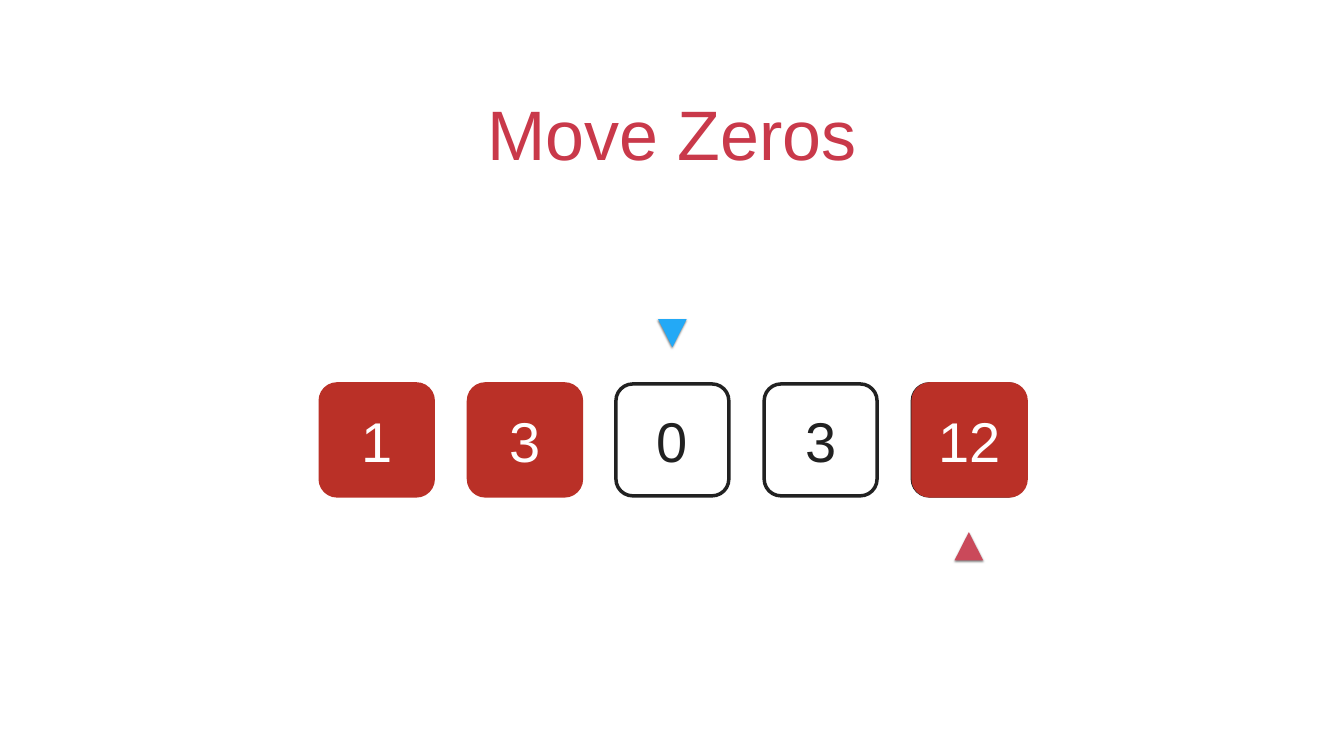
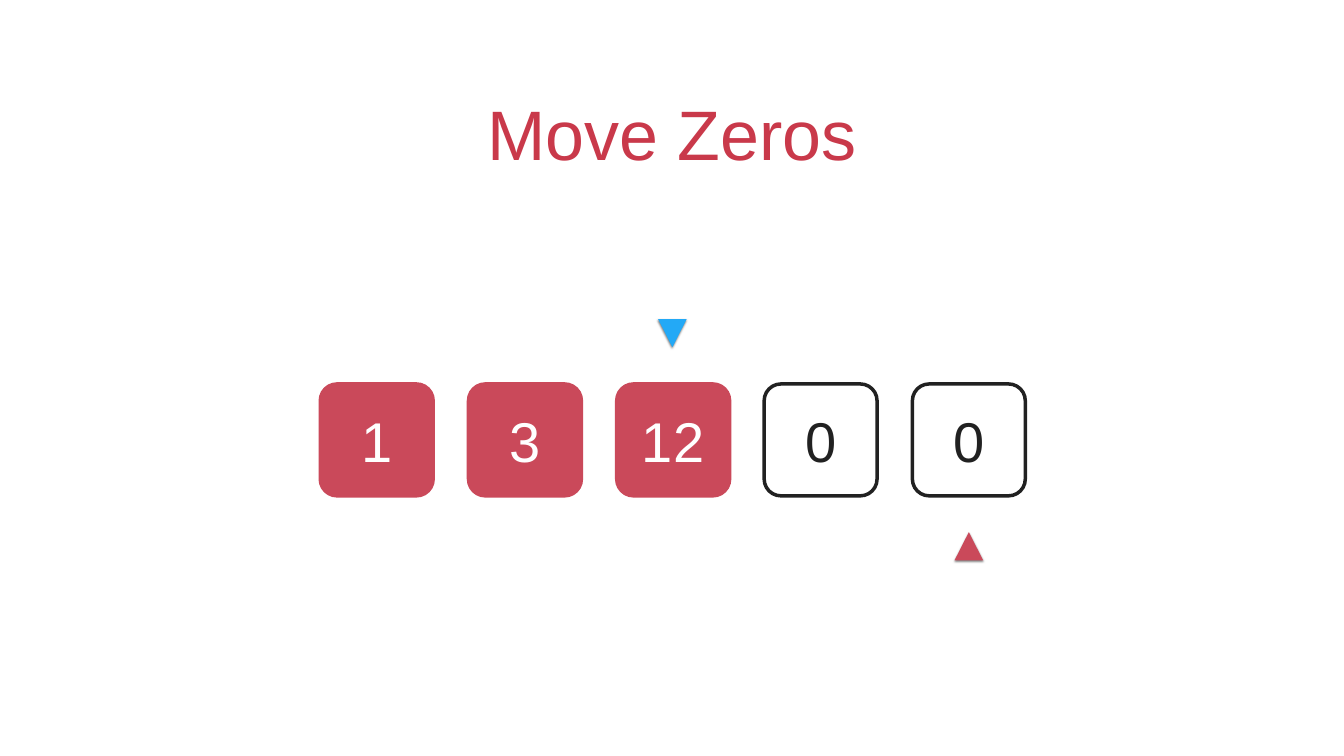
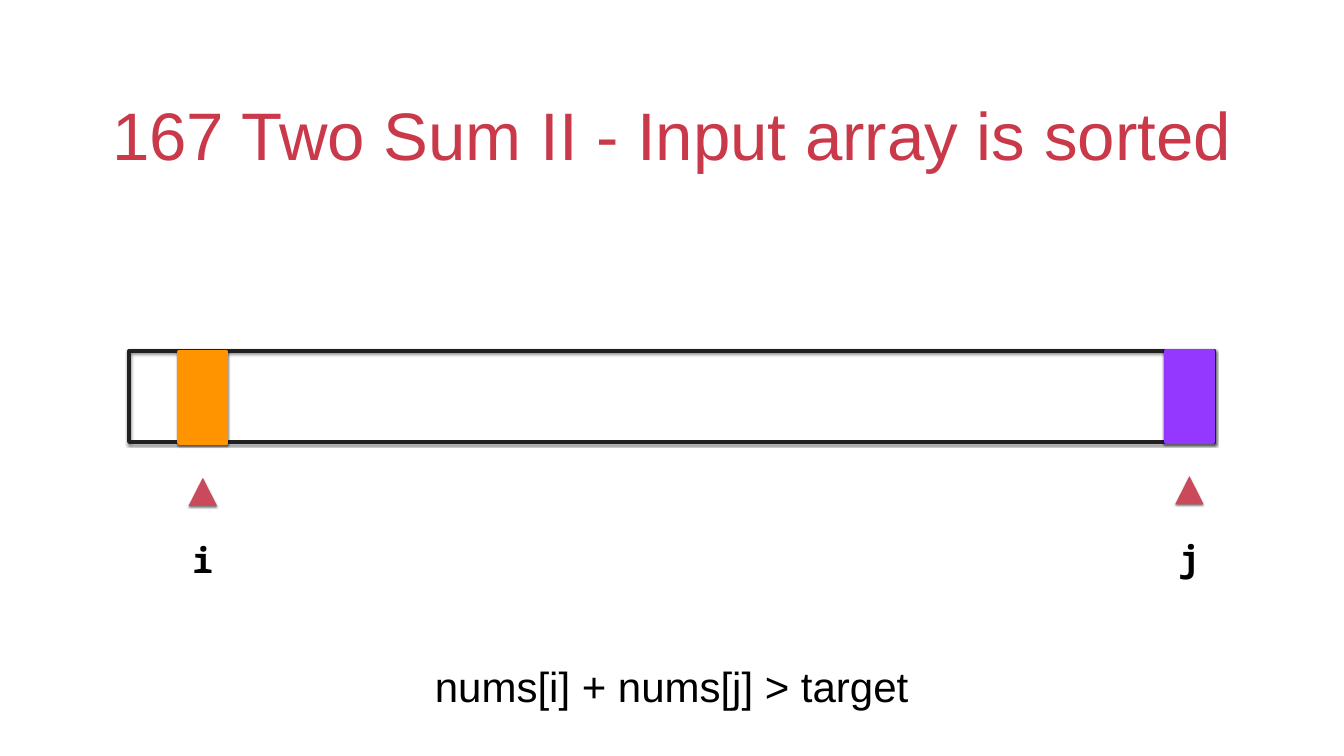
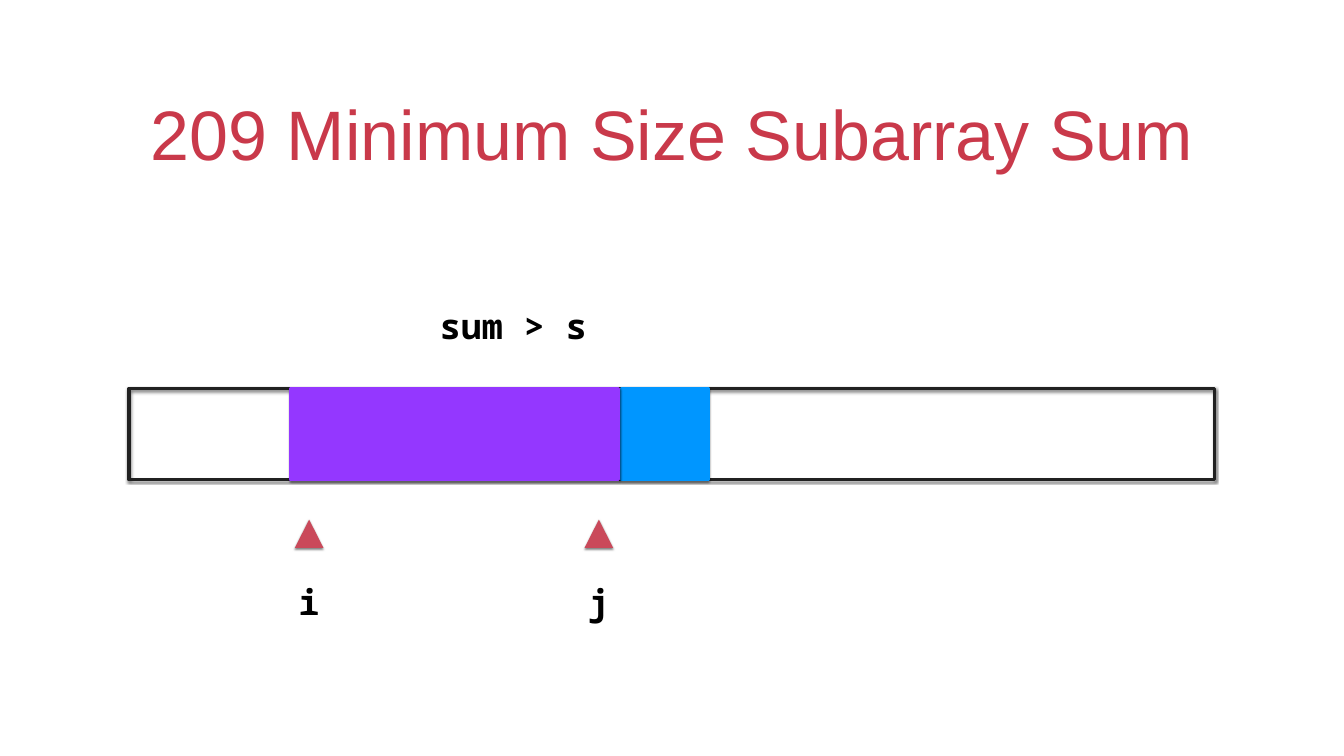
"""Build four slides that illustrate two-pointer array problems."""
from lxml.etree import SubElement
from pptx import Presentation
from pptx.dml.color import RGBColor
from pptx.enum.shapes import MSO_SHAPE as Shape
from pptx.enum.text import MSO_ANCHOR as Anchor, MSO_AUTO_SIZE as AutoSize, PP_ALIGN as Align
from pptx.oxml.ns import qn
from pptx.util import Cm, Pt

SANS, MONO = "Arial", "Noto Sans Mono"
TITLE, INK, BLACK, WHITE = "C9394A", "212121", "000000", "FFFFFF"
BRICK, ROSE, SKY = "BA3027", "CA495A", "23A9F6"
ORANGE, PURPLE, BLUE = "FF9300", "9437FF", "0096FF"

MOVE_ZEROS = [
    [(0, "1", BRICK), (1, "3", BRICK), (2, "0", None), (3, "3", None),
     (4, "12", None), (4, "12", BRICK)],
    [(0, "1", ROSE), (1, "3", ROSE), (2, "12", ROSE), (3, "0", None), (4, "0", None)],
]
WRITE_COLUMN, READ_COLUMN = 2, 4

ARRAYS = [
    {"title": "167 Two Sum II - Input array is sorted", "title_size": 96, "top": 17.68,
     "blocks": [(9.02, 17.73, 2.39, ORANGE), (58.75, 17.68, 2.39, PURPLE)],
     "pointers": [("i", 10.22, 24.08), ("j", 59.94, 24.0)],
     "caption": ("nums[i] + nums[j] > target", (19.81, 32.49, 28.09, 2.82),
                 {"size": 60, "spacing": 1.5})},
    {"title": "209 Minimum Size Subarray Sum", "title_size": 100, "top": 19.58,
     "blocks": [(31.34, 19.58, 4.34, BLUE), (14.66, 19.58, 16.51, PURPLE)],
     "pointers": [("i", 15.58, 26.19), ("j", 30.18, 26.19)],
     "caption": ("sum > s", (22, 15.24, 7.75, 2.34),
                 {"size": 50, "font": MONO, "bold": True, "wrap": False})},
]

TILE_LEFT, TILE_TOP, TILE_PITCH = 16.1, 19.35, 7.47
TILE_WIDTH, TILE_HEIGHT = 5.69, 5.64
FILLED_SHIFT = 0.04
BAR_LEFT, BAR_WIDTH, BAR_HEIGHT = 6.5, 54.71, 4.6
POINTER_WIDTH, POINTER_HEIGHT = 1.44, 1.42
LABEL_WIDTH, LABEL_HEIGHT, LABEL_DROP = 1.37, 2.34, 2.93


def rgb(code):
    return RGBColor.from_string(code)


def write(holder, text, size=80, color=BLACK, font=SANS, bold=False,
          anchor=Anchor.MIDDLE, wrap=True, grow=False, spacing=None):
    frame = holder.text_frame
    frame.word_wrap = wrap
    frame.auto_size = AutoSize.SHAPE_TO_FIT_TEXT if grow else AutoSize.NONE
    frame.vertical_anchor = anchor
    frame.margin_left = frame.margin_right = frame.margin_top = frame.margin_bottom = Cm(0.15)
    line = frame.paragraphs[0]
    line.alignment = Align.CENTER
    line.line_spacing = spacing
    run = line.add_run()
    run.text = text
    run.font.size, run.font.name, run.font.bold = Pt(size), font, bold
    run.font.color.rgb = rgb(color)


def add_text(slide, text, place, **style):
    write(slide.shapes.add_textbox(*map(Cm, place)), text, **style)


def paint(shape, fill=None, line=None, shadow=False):
    if fill:
        shape.fill.solid()
        shape.fill.fore_color.rgb = rgb(fill)
    else:
        shape.fill.background()
    if line:
        shape.line.color.rgb = rgb(line)
        shape.line.width = Pt(5)
    else:
        shape.line.fill.background()
    shape.shadow.inherit = False
    if shadow:
        effects = shape.element.spPr.find(qn("a:effectLst"))
        outer = SubElement(effects, qn("a:outerShdw"), blurRad=str(Pt(3)), dist=str(Pt(2)),
                           dir="5400000", rotWithShape="0")
        tint = SubElement(outer, qn("a:srgbClr"), val=BLACK)
        SubElement(tint, qn("a:alpha"), val="50000")


def add_tile(slide, column, number, fill):
    left = TILE_LEFT + column * TILE_PITCH + (FILLED_SHIFT if fill else 0)
    tile = slide.shapes.add_shape(Shape.ROUNDED_RECTANGLE, Cm(left), Cm(TILE_TOP),
                                  Cm(TILE_WIDTH), Cm(TILE_HEIGHT))
    tile.adjustments[0] = 0.15
    paint(tile, fill, fill or INK)
    write(tile, number, color=WHITE if fill else INK)


def add_block(slide, left, top, width, fill=None):
    block = slide.shapes.add_shape(Shape.RECTANGLE, Cm(left), Cm(top), Cm(width), Cm(BAR_HEIGHT))
    paint(block, fill, fill or INK, shadow=True)


def add_pointer(slide, center, top, fill=ROSE, down=False):
    tip, base = (top + POINTER_HEIGHT, top) if down else (top, top + POINTER_HEIGHT)
    half = POINTER_WIDTH / 2
    outline = slide.shapes.build_freeform(Cm(center), Cm(tip))
    outline.add_line_segments([(Cm(center + half), Cm(base)), (Cm(center - half), Cm(base))])
    paint(outline.convert_to_shape(), fill, shadow=True)


def column_center(column):
    return TILE_LEFT + column * TILE_PITCH + TILE_WIDTH / 2


def add_titled_slide(deck, title, size=100):
    slide = deck.slides.add_slide(deck.slide_layouts[6])
    add_text(slide, title, (4.93, 3.3, 57.86, 5.64), size=size, color=TITLE, anchor=Anchor.BOTTOM)
    return slide


def add_move_zeros(deck, tiles):
    slide = add_titled_slide(deck, "Move Zeros")
    for tile in tiles:
        add_tile(slide, *tile)
    add_pointer(slide, column_center(READ_COLUMN), 26.82)
    add_pointer(slide, column_center(WRITE_COLUMN), 16.08, SKY, down=True)


def add_array(deck, array):
    slide = add_titled_slide(deck, array["title"], array["title_size"])
    add_block(slide, BAR_LEFT, array["top"], BAR_WIDTH)
    for block in array["blocks"]:
        add_block(slide, *block)
    for name, center, top in array["pointers"]:
        add_pointer(slide, center, top)
        place = (center - LABEL_WIDTH / 2, top + LABEL_DROP, LABEL_WIDTH, LABEL_HEIGHT)
        add_text(slide, name, place, size=50, font=MONO, bold=True, wrap=False, grow=True)
    caption, place, style = array["caption"]
    add_text(slide, caption, place, grow=True, **style)


def main():
    deck = Presentation()
    deck.slide_width, deck.slide_height = Cm(67.73), Cm(38.1)
    for tiles in MOVE_ZEROS:
        add_move_zeros(deck, tiles)
    for array in ARRAYS:
        add_array(deck, array)
    deck.save("out.pptx")


if __name__ == "__main__":
    main()
